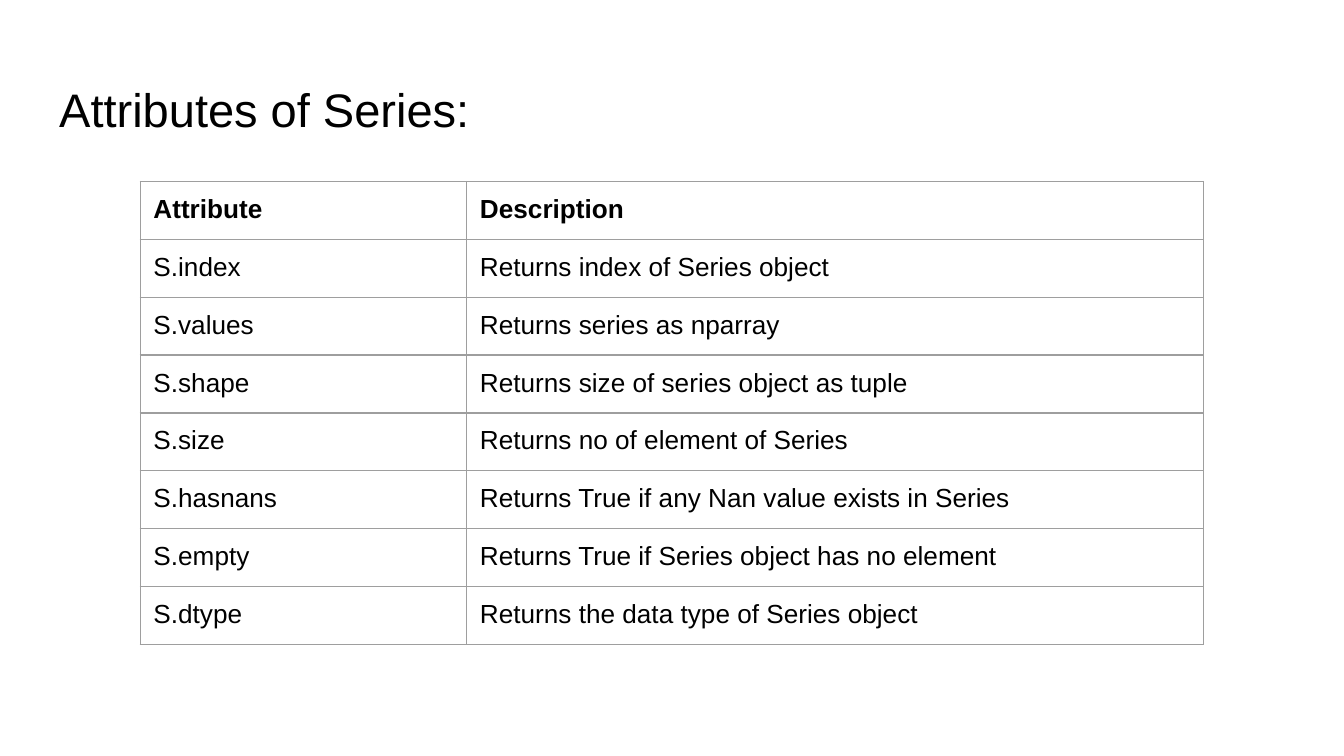
from dataclasses import dataclass

import pptx
import pptx.dml.color
import pptx.enum.text
import pptx.oxml
import pptx.oxml.ns
import pptx.util
from pptx.util import Cm


@dataclass(frozen=True)
class Theme:
    font: str = "Arial"
    text: str = "000000"
    border: str = "9E9E9E"
    background: str = "FFFFFF"
    title_size: float = 25.2
    body_size: float = 14
    border_width: float = 0.75
    inset: float = 0.25


@dataclass(frozen=True)
class Attribute:
    name: str
    description: str


THEME = Theme()
HEADER = Attribute("Attribute", "Description")
ATTRIBUTES = [
    Attribute("S.index", "Returns index of Series object"),
    Attribute("S.values", "Returns series as nparray"),
    Attribute("S.shape", "Returns size of series object as tuple"),
    Attribute("S.size", "Returns no of element of Series"),
    Attribute("S.hasnans", "Returns True if any Nan value exists in Series"),
    Attribute("S.empty", "Returns True if Series object has no element"),
    Attribute("S.dtype", "Returns the data type of Series object"),
]
COLUMN_WIDTHS = (6.17, 13.93)
ROW_HEIGHT = 1.06


def rgb(value: str) -> pptx.dml.color.RGBColor:
    return pptx.dml.color.RGBColor.from_string(value)


def write(tf, text: str, *, size: float, bold: bool = False) -> None:
    """Put one formatted run into a text frame."""
    p = tf.paragraphs[0]
    r = p.add_run()
    r.text = text
    r.font.name = THEME.font
    r.font.size = pptx.util.Pt(size)
    r.font.bold = bold
    r.font.color.rgb = rgb(THEME.text)


def set_insets(target) -> None:
    """Give a text frame or a table cell equal margins."""
    for side in ("left", "right", "top", "bottom"):
        setattr(target, f"margin_{side}", Cm(THEME.inset))


def draw_borders(cell) -> None:
    props = cell._tc.get_or_add_tcPr()
    width = pptx.util.Pt(THEME.border_width)
    for i, side in enumerate(("lnL", "lnR", "lnT", "lnB")):
        line = pptx.oxml.parse_xml(
            f'<a:{side} {pptx.oxml.ns.nsdecls("a")} w="{width}"><a:solidFill>'
            f'<a:srgbClr val="{THEME.border}"/></a:solidFill></a:{side}>'
        )
        props.insert(i, line)


def draw_title(s, text: str) -> None:
    sp = s.shapes.add_textbox(Cm(0.87), Cm(1.24), Cm(23.67), Cm(1.6))
    tf = sp.text_frame
    tf.word_wrap = True
    tf.vertical_anchor = pptx.enum.text.MSO_ANCHOR.BOTTOM
    set_insets(tf)
    write(tf, text, size=THEME.title_size)


def draw_table(s, rows: list[Attribute]) -> None:
    table = s.shapes.add_table(
        len(rows), len(COLUMN_WIDTHS), Cm(2.65), Cm(3.43),
        Cm(sum(COLUMN_WIDTHS)), Cm(ROW_HEIGHT * len(rows)),
    ).table
    table.horz_banding = False
    for column, width in zip(table.columns, COLUMN_WIDTHS):
        column.width = Cm(width)
    for i, row in enumerate(rows):
        table.rows[i].height = Cm(ROW_HEIGHT)
        for j, text in enumerate((row.name, row.description)):
            cell = table.cell(i, j)
            cell.fill.background()
            set_insets(cell)
            draw_borders(cell)
            write(cell.text_frame, text, size=THEME.body_size, bold=i == 0)


def main() -> None:
    # Slide
    prs = pptx.Presentation()
    prs.slide_width, prs.slide_height = Cm(25.4), Cm(14.29)
    s = prs.slides.add_slide(prs.slide_layouts[6])
    s.background.fill.solid()
    s.background.fill.fore_color.rgb = rgb(THEME.background)

    # Content
    draw_title(s, "Attributes of Series:")
    draw_table(s, [HEADER, *ATTRIBUTES])
    prs.save("out.pptx")


if __name__ == "__main__":
    main()
